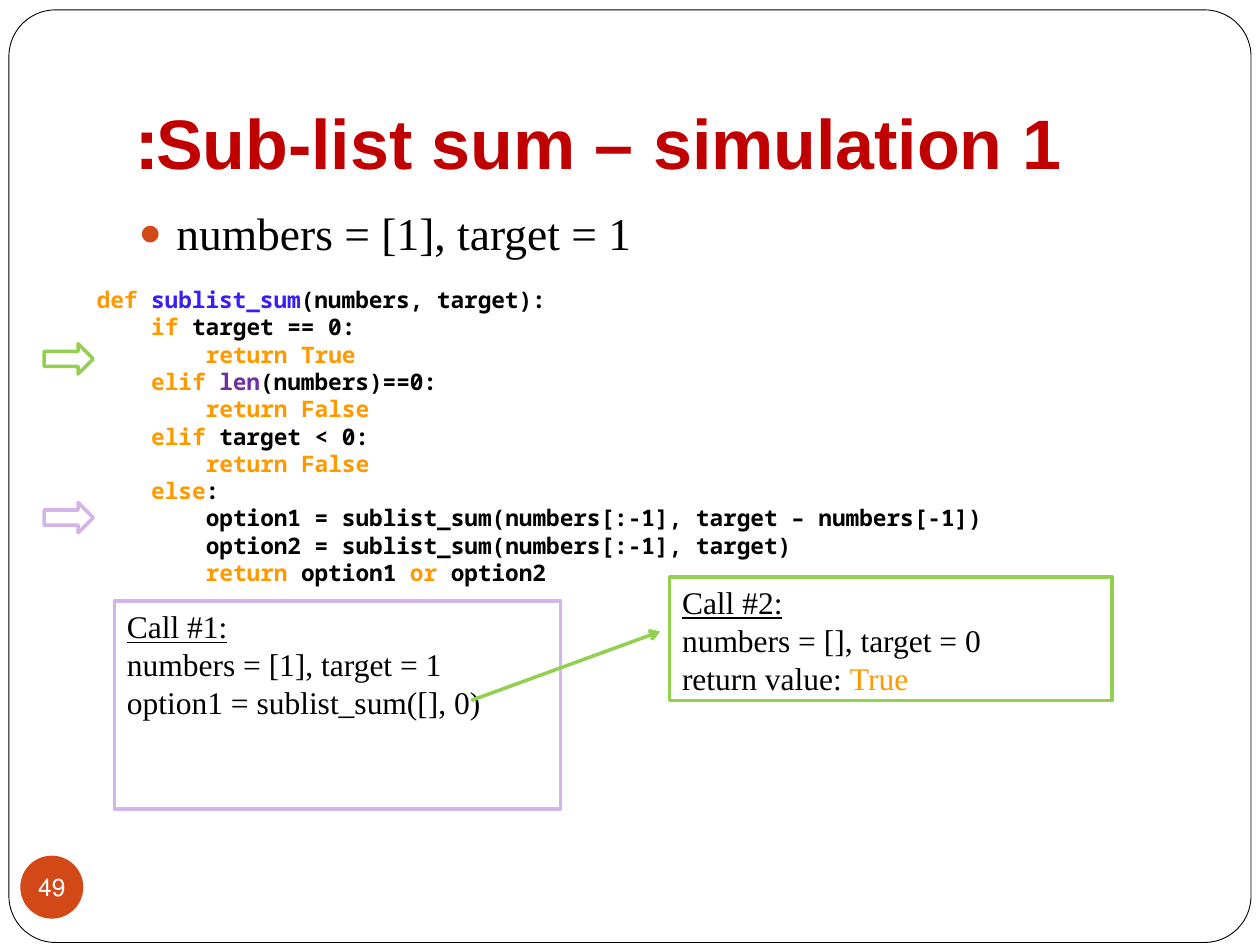
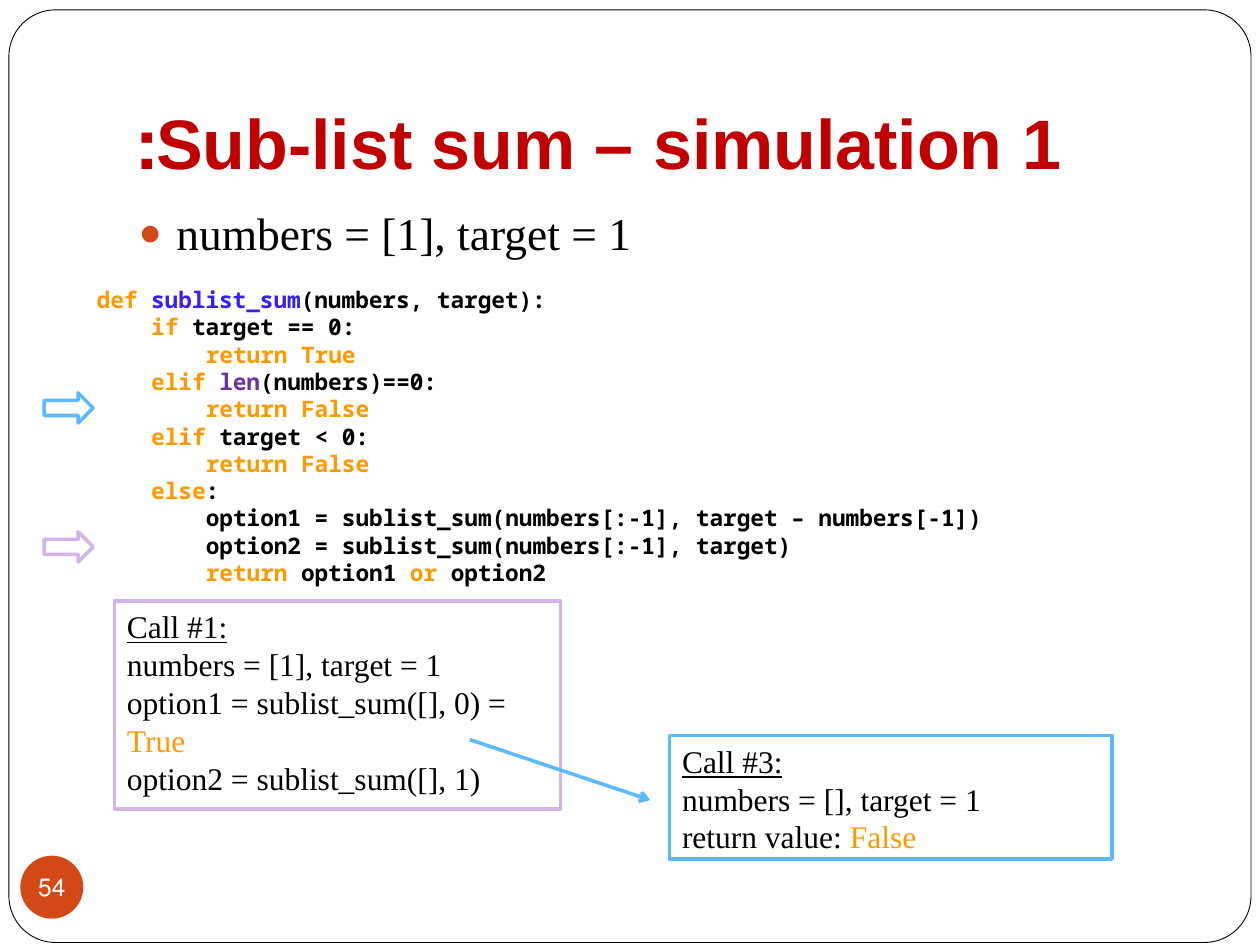
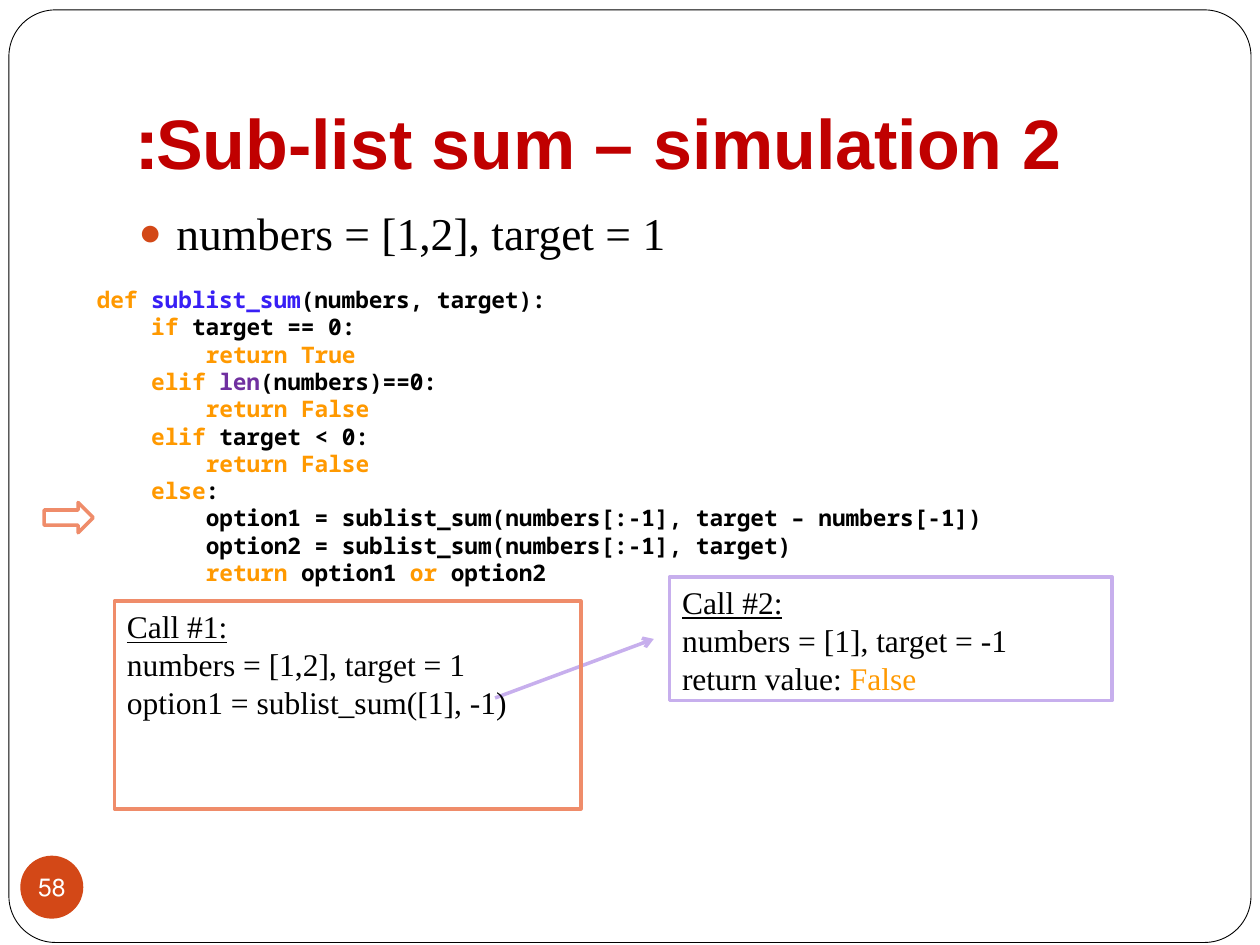
from lxml import etree
from pptx import Presentation
from pptx.dml.color import RGBColor
from pptx.enum import shapes, text
from pptx.oxml.ns import qn
from pptx.util import Cm, Pt

BLACK = RGBColor(0x00, 0x00, 0x00)
WHITE = RGBColor(0xFF, 0xFF, 0xFF)
RED = RGBColor(0xC0, 0x00, 0x00)
RUST = RGBColor(0xD3, 0x48, 0x17)
ORANGE = RGBColor(0xFF, 0x99, 0x00)
BLUE = RGBColor(0x38, 0x1F, 0xF5)
PURPLE = RGBColor(0x70, 0x30, 0xA0)
LILAC = RGBColor(0xD3, 0xB5, 0xE9)
MAUVE = RGBColor(0xC7, 0xAF, 0xED)
GREEN = RGBColor(0x92, 0xD0, 0x50)
SKY = RGBColor(0x5B, 0xB9, 0xFF)
CORAL = RGBColor(0xEF, 0x8C, 0x6A)

SERIF = "Times New Roman"
KIND = shapes.MSO_SHAPE
LEFT = text.PP_ALIGN.LEFT
STEP = 1.1

CODE = [
    (0, [("def ", ORANGE), ("sublist_sum", BLUE), "(numbers, target):"]),
    (1, [("if", ORANGE), " target == 0:"]),
    (2, [("return True", ORANGE)]),
    (1, [("elif ", ORANGE), ("len", PURPLE), "(numbers)==0:"]),
    (2, [("return False", ORANGE)]),
    (1, [("elif ", ORANGE), "target < 0:"]),
    (2, [("return False", ORANGE)]),
    (1, [("else", ORANGE), ":"]),
    (2, ["option1 = sublist_sum(numbers[:-1], target – numbers[-1])"]),
    (2, ["option2 = sublist_sum(numbers[:-1], target)"]),
    (2, [("return", ORANGE), " option1 ", ("or", ORANGE), " option2"]),
]

SLIDES = [
    dict(
        page=49, title="Sub-list sum – simulation 1:", task="numbers = [1], target = 1",
        marks=[(10.13, LILAC), (6.93, GREEN)],
        calls=[
            ((2.31, 12.12, 8.99, 4.19), LILAC, 1,
             [["numbers = [1], target = 1"], ["option1 = sublist_sum([], 0)"]]),
            ((13.5, 11.63, 8.92, 2.49), GREEN, 2,
             [["numbers = [], target = 0"], ["return value: ", ("True", ORANGE)]]),
        ],
        link=((9.5, 14.12, 13.31, 12.73), GREEN), under=False),
    dict(
        page=54, title="Sub-list sum – simulation 1:", task="numbers = [1], target = 1",
        marks=[(10.72, LILAC), (7.92, SKY)],
        calls=[
            ((2.31, 12.12, 8.99, 4.19), LILAC, 1,
             [["numbers = [1], target = 1"],
              ["option1 = sublist_sum([], 0) = ", ("True", ORANGE)],
              ["option2 = sublist_sum([], 1)"]]),
            ((13.5, 14.83, 8.92, 2.49), SKY, 3,
             [["numbers = [], target = 1"], ["return value: ", ("False", ORANGE)]]),
        ],
        link=((9.47, 14.91, 13.11, 16.13), SKY), under=False),
    dict(
        page=58, title="Sub-list sum – simulation 2:", task="numbers = [1,2], target = 1",
        marks=[(10.13, CORAL)],
        calls=[
            ((2.31, 12.12, 9.4, 4.19), CORAL, 1,
             [["numbers = [1,2], target = 1"], ["option1 = sublist_sum([1], -1)"]]),
            ((13.5, 11.63, 8.92, 2.49), MAUVE, 2,
             [["numbers = [1], target = -1"], ["return value: ", ("False", ORANGE)]]),
        ],
        link=((9.98, 14.07, 13.18, 12.88), MAUVE), under=True),
]


def cms(box):
    return [Cm(n) for n in box]


def write(par, runs, size=18, font=SERIF, color=BLACK, bold=False, under=False, align=LEFT, rtl=False):
    par.alignment = align
    if rtl:
        par._p.get_or_add_pPr().set("rtl", "1")
    for part in runs:
        words, tint = (part, color) if isinstance(part, str) else part
        run = par.add_run()
        run.text = words
        face = run.font
        face.name, face.size, face.bold, face.underline = font, Pt(size), bold, under
        face.color.rgb = tint


def lines(frame, count):
    return [frame.paragraphs[0]] + [frame.add_paragraph() for _ in range(count - 1)]


def draw(slide, kind, box, fill=None, line=None, width=2):
    shape = slide.shapes.add_shape(kind, *cms(box))
    shape.shadow.inherit = False
    if fill is None:
        shape.fill.background()
    else:
        shape.fill.solid()
        shape.fill.fore_color.rgb = fill
    if line is None:
        shape.line.fill.background()
    else:
        shape.line.color.rgb = line
        shape.line.width = Pt(width)
    return shape


def place(holder, box, anchor, foot):
    holder.left, holder.top, holder.width, holder.height = cms(box)
    frame = holder.text_frame
    frame.auto_size = text.MSO_AUTO_SIZE.NONE
    frame.vertical_anchor = anchor
    frame.margin_bottom = Cm(foot)


def theme(deck, layout):
    title, body = layout.placeholders[0], layout.placeholders[1]
    place(title, (2.54, 0.76, 21.59, 3.18), text.MSO_ANCHOR.BOTTOM, 0.25)
    place(body, (2.54, 4.01, 21.59, 12.7), text.MSO_ANCHOR.TOP, 0.13)


def border(deck, slide):
    frame = draw(slide, KIND.ROUNDED_RECTANGLE, (0.18, 0.2, 25.04, 18.8), WHITE, BLACK, 0.5)
    frame.adjustments[0] = 0.05
    deck.slide_master.shapes.element.insert(2, frame.element)


def head(slide, title, task):
    write(slide.shapes.title.text_frame.paragraphs[0], [title],
          size=40, font="Arial", color=RED, bold=True, rtl=True)
    par = slide.placeholders[1].text_frame.paragraphs[0]
    write(par, [task], size=26)
    par.space_before = Pt(5.8)
    props = par._p.get_or_add_pPr()
    props.set("marL", str(Cm(0.76)))
    props.set("indent", str(-Cm(0.76)))
    tint = etree.SubElement(props, qn("a:buClr"))
    etree.SubElement(tint, qn("a:srgbClr"), val=str(RUST))
    etree.SubElement(props, qn("a:buSzPct"), val="85000")
    etree.SubElement(props, qn("a:buChar"), char="●")


def badge(slide, page):
    disc = draw(slide, KIND.OVAL, (0.41, 17.25, 1.27, 1.27), RUST)
    frame = disc.text_frame
    frame.margin_left = frame.margin_right = frame.margin_top = frame.margin_bottom = 0
    frame.word_wrap = False
    frame.vertical_anchor = text.MSO_ANCHOR.MIDDLE
    write(frame.paragraphs[0], [str(page)], size=14, font="Karla", color=WHITE,
          align=text.PP_ALIGN.CENTER, rtl=True)


def code(slide, box):
    frame = slide.shapes.add_textbox(*cms(box)).text_frame
    frame.word_wrap = True
    for par, (level, runs) in zip(lines(frame, len(CODE)), CODE):
        write(par, runs, size=13, font="Noto Sans Mono", bold=True)
        par.line_spacing = Pt(15.6)
        par._p.get_or_add_pPr().set("marL", str(Cm(level * STEP)))


def call(slide, box, color, number, rows):
    frame = draw(slide, KIND.RECTANGLE, box, line=color).text_frame
    frame.word_wrap = True
    frame.vertical_anchor = text.MSO_ANCHOR.TOP
    first, *rest = lines(frame, len(rows) + 1)
    write(first, [f"Call #{number}:"], under=True)
    for par, runs in zip(rest, rows):
        write(par, runs)


def arrow(slide, ends, color):
    link = slide.shapes.add_connector(shapes.MSO_CONNECTOR.STRAIGHT, *cms(ends))
    link.line.color.rgb = color
    link.line.width = Pt(2)
    props = link.element.spPr
    etree.SubElement(props.find(qn("a:ln")), qn("a:tailEnd"), type="arrow")
    etree.SubElement(props, qn("a:effectLst"))


def trace(slide, page, title, task, marks, calls, link, under):
    head(slide, title, task)
    badge(slide, page)
    for top, color in marks:
        draw(slide, KIND.RIGHT_ARROW, (0.89, top, 0.99, 0.61), line=color)
    if under:
        arrow(slide, *link)
    for item in calls:
        call(slide, *item)
    code(slide, (1.7, 5.64, 18.8, 6.38))
    if not under:
        arrow(slide, *link)


def main():
    deck = Presentation()
    deck.slide_width, deck.slide_height = Cm(25.4), Cm(19.05)
    layout = deck.slide_layouts[1]
    theme(deck, layout)
    for index, parts in enumerate(SLIDES):
        slide = deck.slides.add_slide(layout)
        if index == 0:
            border(deck, slide)
        trace(slide, **parts)
    deck.save("out.pptx")


if __name__ == "__main__":
    main()
